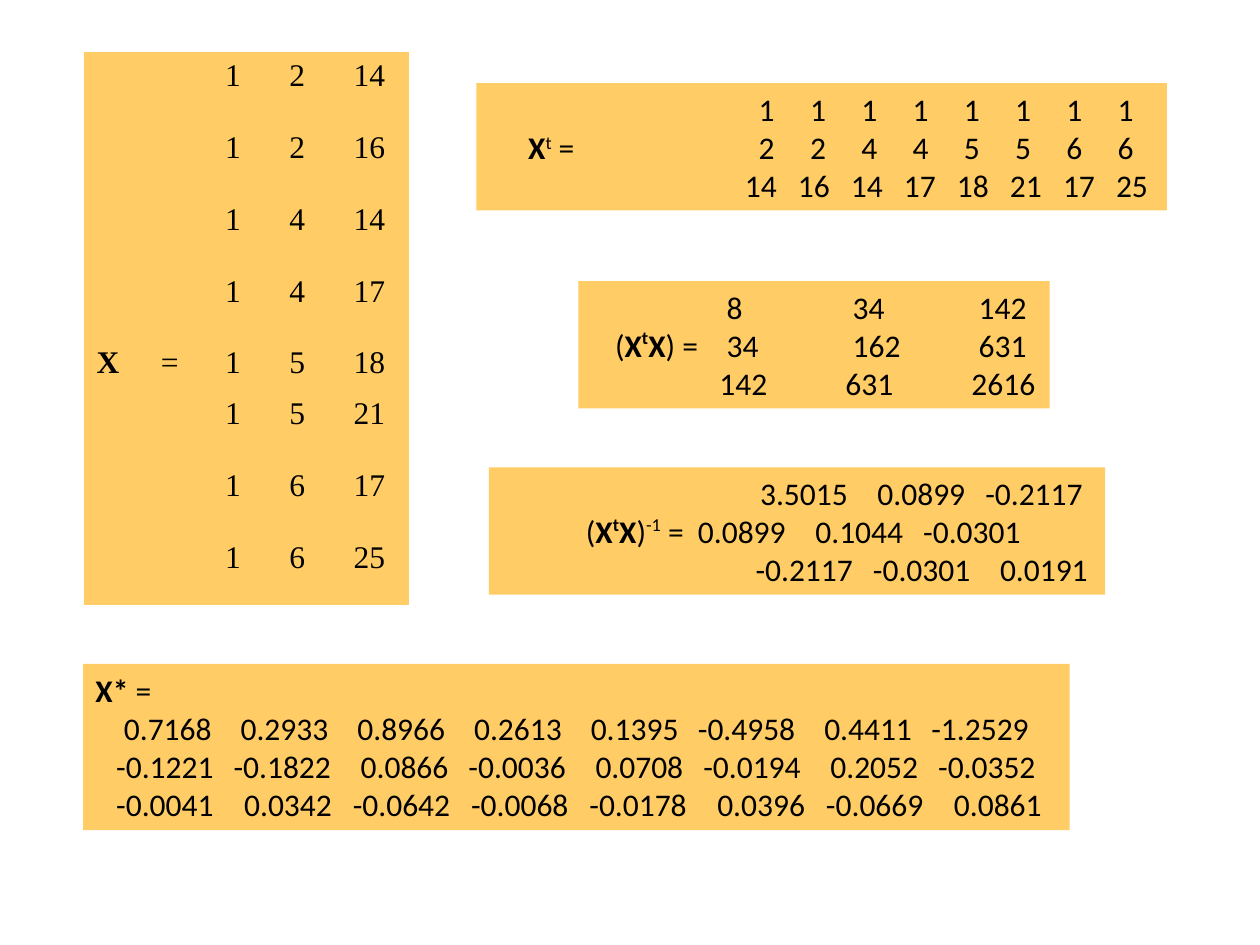
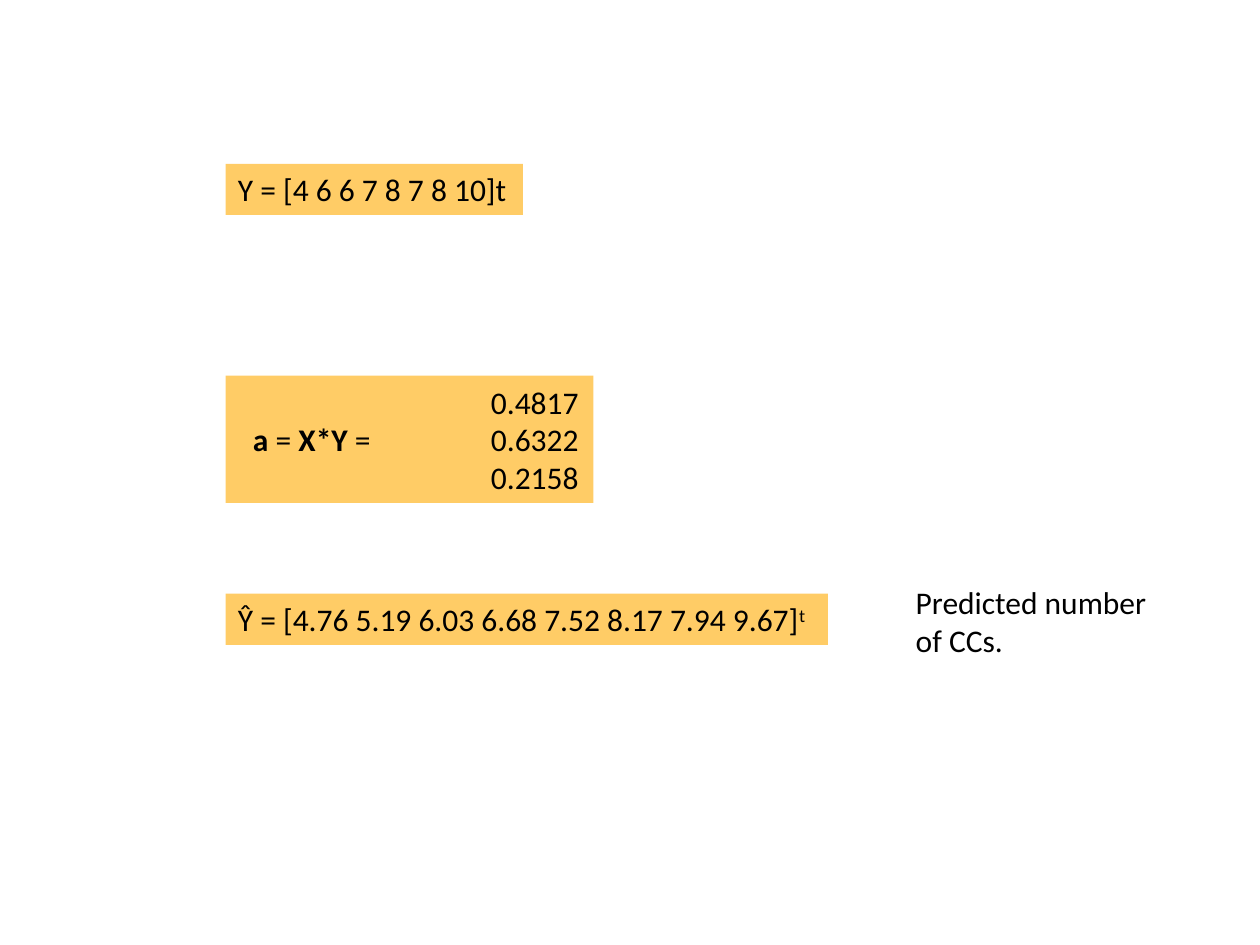
"""Matrix calculations of a least squares fit, laid out on two slides."""
from dataclasses import dataclass

from lxml.etree import SubElement
from pptx import Presentation
from pptx.dml.color import RGBColor
from pptx.enum.shapes import MSO_SHAPE as Preset
from pptx.enum.text import MSO_ANCHOR as Anchor
from pptx.oxml.ns import qn
from pptx.slide import Slide
from pptx.text.text import _Paragraph as Paragraph
from pptx.text.text import _Run as Run
from pptx.util import Pt

GOLD = RGBColor(0xFF, 0xCC, 0x66)
BLACK = RGBColor(0, 0, 0)
BODY_FONT = "Calibri"
TABLE_FONT = "Times New Roman"
TEXT_SIZE = 18
PLAIN_TABLE_STYLE = "{2D5ABB26-0587-4C30-8999-92F81FD0307C}"
LEFT_TAB, RIGHT_TAB = "l", "r"


@dataclass(frozen=True)
class Piece:
    """A stretch of label text, raised by a percentage."""
    text: str
    bold: bool = False
    raised: int = 0


@dataclass(frozen=True)
class Row:
    """A line with a label and values on evenly spaced tab stops."""
    values: str = ""
    first_stop: float = 0
    step: float = 0
    label: tuple[Piece, ...] = ()
    label_at: float = 0


@dataclass(frozen=True)
class Box:
    """A block of rows with its place and tab alignment."""
    left: float
    top: float
    width: float
    height: float
    rows: tuple[Row, ...]
    tab_kind: str = RIGHT_TAB
    filled: bool = True


X = Piece("X", bold=True)
EQUALS = Piece(" =")
X_PRODUCT = (Piece("("), X, Piece("t", True, 40), X, Piece(")"))

DESIGN_MATRIX = (
    (1, 2, 14), (1, 2, 16), (1, 4, 14), (1, 4, 17),
    (1, 5, 18), (1, 5, 21), (1, 6, 17), (1, 6, 25),
)
LABEL_ROW = 4

TRANSPOSE = Box(272.2, 47.5, 394.6, 72.7, (
    Row("1 1 1 1 1 1 1 1", 163.4, 29.3),
    Row("2 2 4 4 5 5 6 6", 163.4, 29.3, (X, Piece("t", raised=30), EQUALS), 22.5),
    Row("14 16 14 17 18 21 17 25", 164.6, 30.3),
))
PRODUCT = Box(330.5, 160.6, 269.3, 72.7, (
    Row("8 34 142", 77.7, 72),
    Row("34 162 631", 77.7, 72, X_PRODUCT + (EQUALS,), 13.9),
    Row("142 631 2616", 73.6, 72),
), LEFT_TAB)
INVERSE = Box(279.4, 267.1, 352.1, 72.7, (
    Row("3.5015 0.0899 -0.2117", 198, 67.1),
    Row("0.0899 0.1044 -0.0301", 162.5, 67.1,
        X_PRODUCT + (Piece("-1", raised=40), EQUALS), 48.3),
    Row("-0.2117 -0.0301 0.0191", 200.9, 67.1),
))
PSEUDO_INVERSE = Box(47.5, 379.4, 563.8, 95, (
    Row(label=(Piece("X*", True), EQUALS)),
    Row("0.7168 0.2933 0.8966 0.2613 0.1395 -0.4958 0.4411 -1.2529", 66.4, 66.7),
    Row("-0.1221 -0.1822 0.0866 -0.0036 0.0708 -0.0194 0.2052 -0.0352", 67.5, 67.1),
    Row("-0.0041 0.0342 -0.0642 -0.0068 -0.0178 0.0396 -0.0669 0.0861", 67.5, 67.6),
))
OBSERVED = Box(128.9, 93.6, 169.9, 29.2, (
    Row(label=(Piece("Y = [4 6 6 7 8 7 8 10]t"),)),
))
COEFFICIENTS = Box(128.9, 214.6, 210.2, 72.7, (
    Row("0.4817", 144.5),
    Row("0.6322", 144.5, 0,
        (Piece("a", True), Piece(" = "), Piece("X*Y", True), EQUALS), 8.6),
    Row("0.2158", 144.5),
), LEFT_TAB)
PREDICTED = Box(128.9, 339.3, 344.2, 29.2, (
    Row(label=(Piece("Ŷ = [4.76 5.19 6.03 6.68 7.52 8.17 7.94 9.67]"),
               Piece("t", raised=30))),
))
CAPTION = Box(516.2, 329.8, 162, 50.9, (
    Row(label=(Piece("Predicted number of CCs."),)),
), filled=False)


def format_run(run: Run, font_name: str, bold: bool = False) -> None:
    """Give a run the shared size and colour."""
    run.font.name = font_name
    run.font.size = Pt(TEXT_SIZE)
    run.font.bold = bold
    run.font.color.rgb = BLACK


def add_tab_stops(paragraph: Paragraph, row: Row, value_count: int, kind: str) -> None:
    """Place the label stop and one stop for each value."""
    stops = [(row.label_at, LEFT_TAB)] if row.label_at else []
    stops += [(row.first_stop + row.step * index, kind) for index in range(value_count)]
    if stops:
        tab_list = SubElement(paragraph._p.get_or_add_pPr(), qn("a:tabLst"))
        for position, alignment in stops:
            SubElement(tab_list, qn("a:tab"), pos=str(int(Pt(position))), algn=alignment)


def write_row(paragraph: Paragraph, row: Row, tab_kind: str) -> None:
    """Write a label and its tabbed values."""
    values = row.values.split()
    add_tab_stops(paragraph, row, len(values), tab_kind)
    pieces = [Piece("\t")] if row.label_at else []
    pieces += row.label
    if values:
        pieces.append(Piece("\t" + "\t".join(values)))
    for piece in pieces:
        run = paragraph.add_run()
        run.text = piece.text
        format_run(run, BODY_FONT, piece.bold)
        if piece.raised:
            run._r.get_or_add_rPr().set("baseline", str(piece.raised * 1000))


def add_box(slide: Slide, box: Box) -> None:
    """Draw a box and write its rows."""
    place = (Pt(box.left), Pt(box.top), Pt(box.width), Pt(box.height))
    if box.filled:
        shape = slide.shapes.add_shape(Preset.RECTANGLE, *place)
        shape.shadow.inherit = False
        shape.fill.solid()
        shape.fill.fore_color.rgb = GOLD
        shape.line.fill.background()
    else:
        shape = slide.shapes.add_textbox(*place)
    frame = shape.text_frame
    frame.word_wrap = True
    frame.vertical_anchor = Anchor.MIDDLE if box.filled else Anchor.TOP
    for index, row in enumerate(box.rows):
        paragraph = frame.add_paragraph() if index else frame.paragraphs[0]
        paragraph.alignment = 1
        write_row(paragraph, row, box.tab_kind)


def add_design_matrix(slide: Slide) -> None:
    """Draw the design matrix as a table with its label cells."""
    frame = slide.shapes.add_table(
        len(DESIGN_MATRIX), 5, Pt(48), Pt(30), Pt(186), Pt(316))
    table = frame.table
    table.first_row = table.horz_banding = False
    table._tbl.tblPr.find(qn("a:tableStyleId")).text = PLAIN_TABLE_STYLE
    for index, column in enumerate(table.columns):
        column.width = Pt(39 if index == 4 else 36.75)
    for row_index, values in enumerate(DESIGN_MATRIX):
        is_label_row = row_index == LABEL_ROW
        table.rows[row_index].height = Pt(29 if is_label_row else 41)
        labels = ("X", "=") if is_label_row else ("", "")
        for column_index, value in enumerate(labels + values):
            cell = table.cell(row_index, column_index)
            cell.fill.solid()
            cell.fill.fore_color.rgb = GOLD
            cell.text_frame.text = str(value)
            for run in cell.text_frame.paragraphs[0].runs:
                format_run(run, TABLE_FONT, value == "X")


def main() -> None:
    """Build and save the presentation."""
    presentation = Presentation()
    presentation.slide_width, presentation.slide_height = Pt(720), Pt(540)
    blank = presentation.slide_layouts[6]
    matrices = presentation.slides.add_slide(blank)
    add_design_matrix(matrices)
    for box in (TRANSPOSE, PRODUCT, INVERSE, PSEUDO_INVERSE):
        add_box(matrices, box)
    results = presentation.slides.add_slide(blank)
    for box in (OBSERVED, COEFFICIENTS, PREDICTED, CAPTION):
        add_box(results, box)
    presentation.save("out.pptx")


if __name__ == "__main__":
    main()
